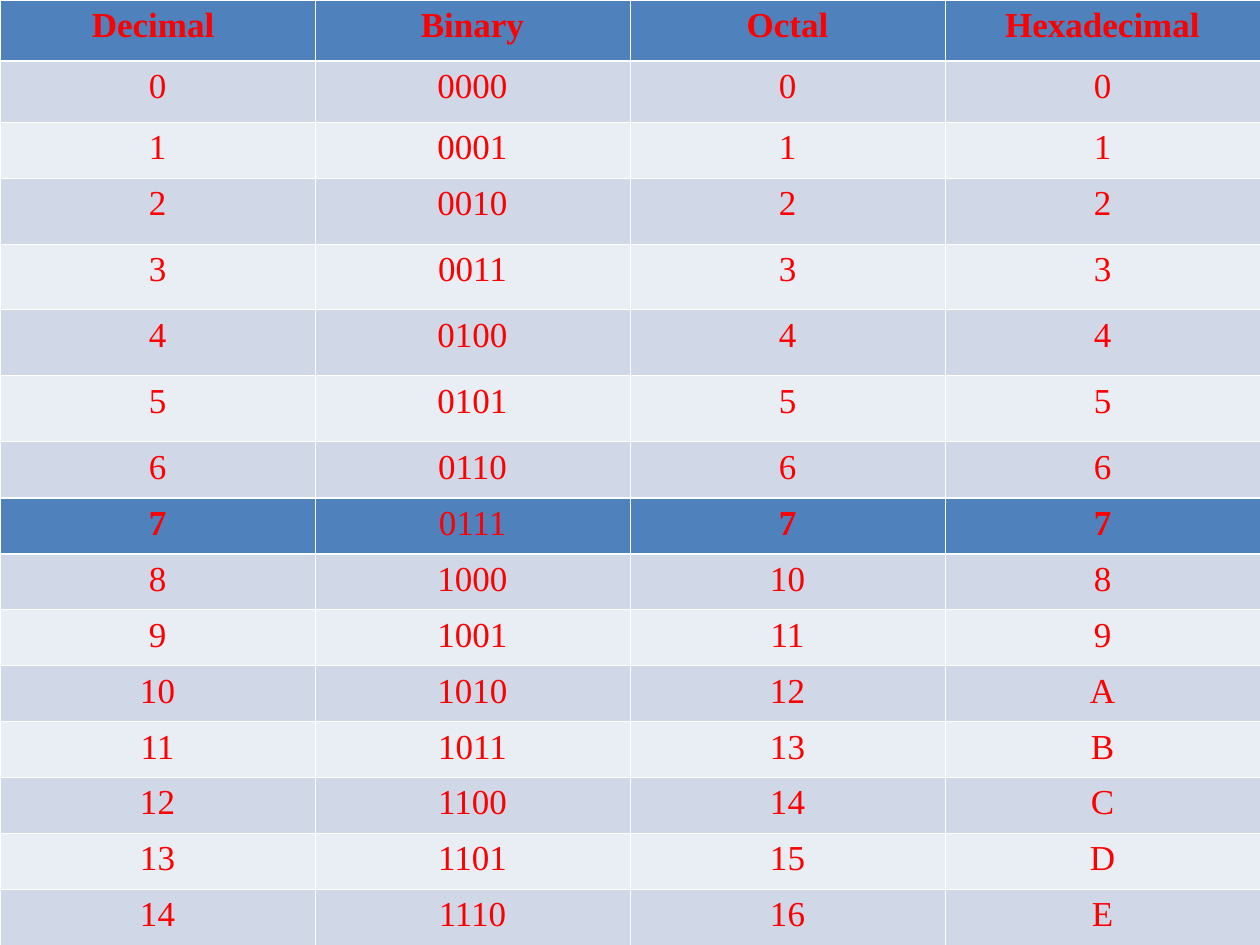
from lxml.etree import SubElement
from pptx import Presentation
from pptx.dml.color import RGBColor
from pptx.enum.text import PP_ALIGN as Align
from pptx.oxml.ns import qn
from pptx.util import Pt

PX = 914400 / 126
SLIDE_W, SLIDE_H = 1260, 945
SPLIT_Y = 498  # where the second table starts

NAVY = RGBColor(0x1F, 0x49, 0x7D)
BLUE = RGBColor(0x4F, 0x81, 0xBD)
BAND_DARK = RGBColor(0xD0, 0xD8, 0xE8)
BAND_LIGHT = RGBColor(0xE9, 0xED, 0xF4)
WHITE = RGBColor(0xFF, 0xFF, 0xFF)
RED = RGBColor(0xFF, 0x00, 0x00)

THIN, THICK = 0.45, 1.47
HEADINGS = ["Decimal ", "Binary", "Octal", "Hexadecimal"]
BINARY_COLUMN = 1


def emu(px):
    return round(px * PX)


def write_text(frame, text, size=20, bold=False, color=RED,
               font="Times New Roman", align=Align.CENTER):
    paragraph = frame.paragraphs[0]
    paragraph.alignment = align
    run = paragraph.add_run()
    run.text = text
    run.font.name = font
    run.font.size = Pt(size)
    run.font.bold = bold
    run.font.color.rgb = color


def draw_borders(cell, left=THIN, right=THIN, top=THIN, bottom=THIN):
    properties = cell._tc.get_or_add_tcPr()
    for side, width in zip("LRTB", (left, right, top, bottom)):
        line = SubElement(properties, qn(f"a:ln{side}"), w=str(Pt(width)))
        SubElement(SubElement(line, qn("a:solidFill")), qn("a:srgbClr"), val=str(WHITE))


def number_row(n):
    return [f"{n}", f"{n:04b}", f"{n:o}", f"{n:X}"]


def add_number_table(slide, box, rows, row_heights, regular_columns=()):
    """Table with a blue first row, bold except in regular_columns, over banded rows."""
    left, top, width, height = map(emu, box)
    table = slide.shapes.add_table(len(rows), len(rows[0]), left, top, width, height).table
    table.horz_banding = False
    for column in table.columns:
        column.width = width // len(rows[0])
    for r, (values, row_height) in enumerate(zip(rows, row_heights)):
        table.rows[r].height = emu(row_height)
        fill = BLUE if r == 0 else BAND_DARK if r % 2 else BAND_LIGHT
        for c, value in enumerate(values):
            cell = table.cell(r, c)
            draw_borders(cell, top=THICK if r == 1 else THIN,
                         bottom=THICK if r == 0 else THIN)
            cell.fill.solid()
            cell.fill.fore_color.rgb = fill
            write_text(cell.text_frame, value,
                       bold=r == 0 and c not in regular_columns)


def main():
    prs = Presentation()
    prs.slide_width, prs.slide_height = emu(SLIDE_W), emu(SLIDE_H)
    slide = prs.slides.add_slide(prs.slide_layouts[6])
    slide.background.fill.solid()
    slide.background.fill.fore_color.rgb = NAVY

    # Headings and numbers 0 to 6
    add_number_table(slide, (0, 0, SLIDE_W, SPLIT_Y),
                     [HEADINGS] + [number_row(n) for n in range(7)],
                     [61, 61, 56, 66, 66, 66, 66, 56])

    # Numbers 7 to 14, in equal rows down to the slide's foot
    lower_rows = [number_row(n) for n in range(7, 15)]
    lower_height = SLIDE_H - SPLIT_Y
    add_number_table(slide, (0, SPLIT_Y, SLIDE_W, lower_height), lower_rows,
                     [lower_height / len(lower_rows)] * len(lower_rows),
                     regular_columns=(BINARY_COLUMN,))

    prs.save("out.pptx")


if __name__ == "__main__":
    main()
